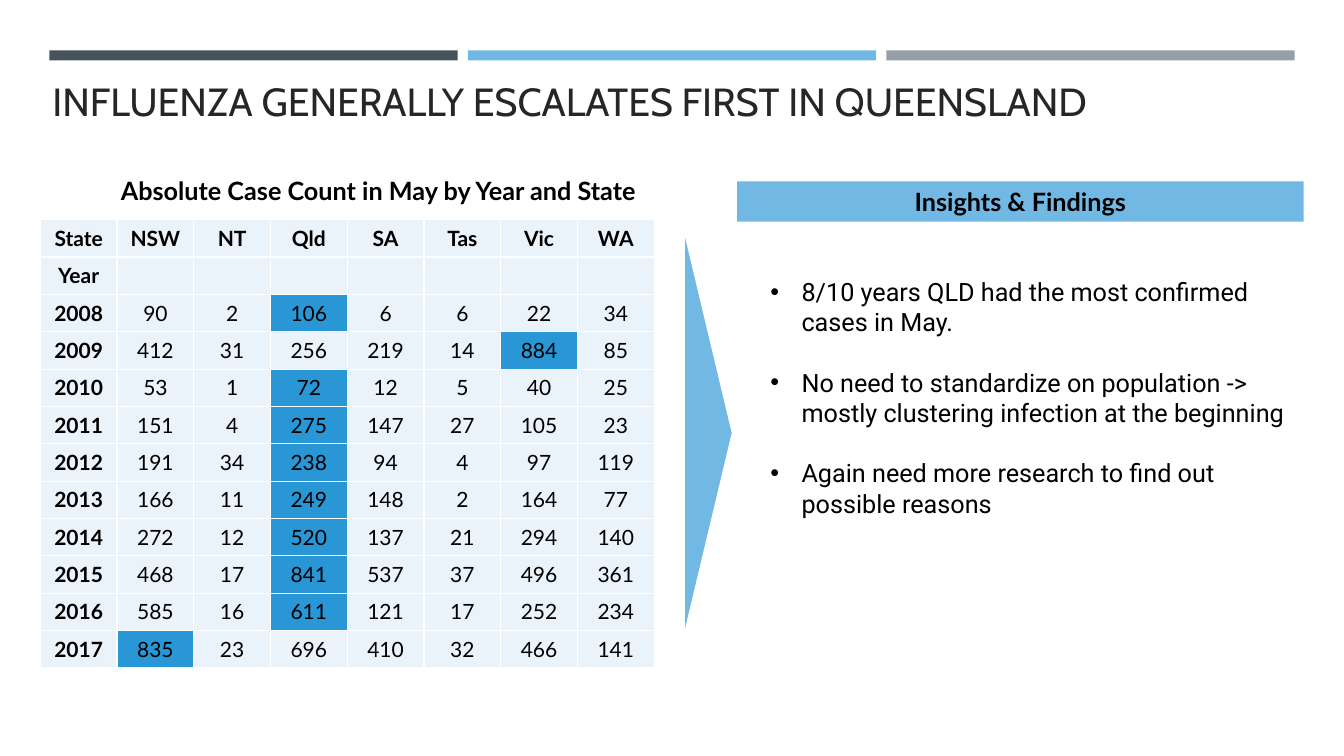
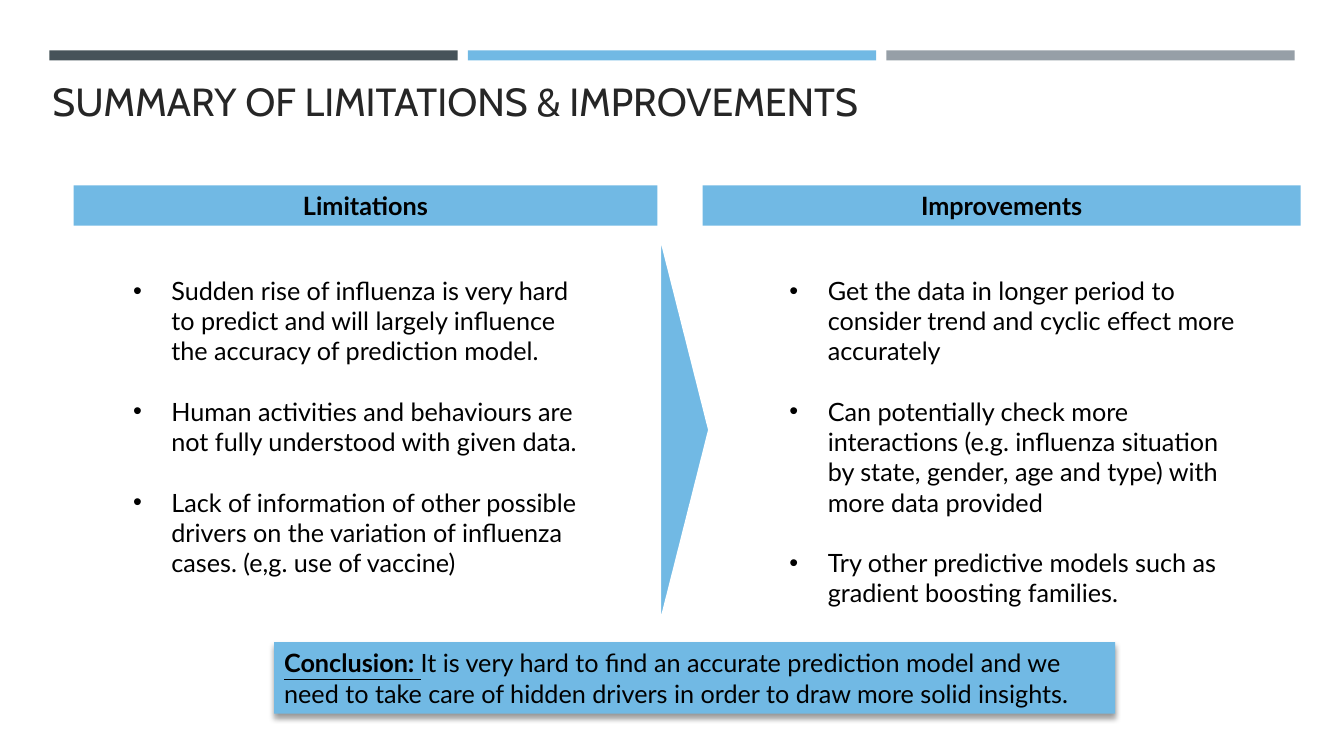
from pptx import Presentation
from pptx.dml.color import RGBColor
from pptx.enum import shapes, text
from pptx.oxml import parse_xml
from pptx.oxml.ns import nsdecls, qn
from pptx.text.text import Font
from pptx.util import Inches, Pt

color = RGBColor.from_string
SLATE, SKY, GREY = "465359", "71B9E4", "969FA7"
PALE, STRONG, WHITE, BLACK, TITLE = "EBF3FA", "2996D6", "FFFFFF", "000000", "262626"


def format_runs(paragraph, name="Lato", size=18, bold=False):
    for run in paragraph.runs:
        run.font.name = name
        run.font.size = Pt(size)
        run.font.bold = bold
        run.font.color.rgb = color(BLACK)


def add_block(slide, kind, box, fill, label=""):
    """Add a flat filled shape, with an optional bold centred label."""
    shape = slide.shapes.add_shape(kind, *map(Inches, box))
    shape.fill.solid()
    shape.fill.fore_color.rgb = color(fill)
    shape.line.fill.background()
    shape.shadow.inherit = False
    if label:
        paragraph = shape.text_frame.paragraphs[0]
        paragraph.text = label
        paragraph.alignment = text.PP_ALIGN.CENTER
        format_runs(paragraph, bold=True)
    return shape


RECTANGLE = shapes.MSO_SHAPE.RECTANGLE
TRIANGLE = shapes.MSO_SHAPE.ISOSCELES_TRIANGLE

presentation = Presentation()
presentation.slide_width = Inches(13.33)
presentation.slide_height = Inches(7.5)

# Master: title style and the three bands
master = presentation.slide_master
master_title = master.placeholders[0]
master_title.left, master_title.top = Inches(0.42), Inches(0.69)
master_title.width, master_title.height = Inches(12.06), Inches(0.59)
master_title.text_frame.auto_size = text.MSO_AUTO_SIZE.NONE
master_title.text_frame.vertical_anchor = text.MSO_ANCHOR.BOTTOM
title_level = master.element.find(".//" + qn("p:titleStyle")).find(qn("a:lvl1pPr"))
title_level.set("algn", "l")
title_font = Font(title_level.find(qn("a:defRPr")))
title_font.name = "Cabin"
title_font.size = Pt(28)
title_font.color.rgb = color(TITLE)

table_slide = presentation.slides.add_slide(presentation.slide_layouts[1])
table_slide.shapes.title.text_frame.text = "INFLUENZA GENERALLY ESCALATES FIRST IN QUEENSLAND"
summary_slide = presentation.slides.add_slide(presentation.slide_layouts[3])
summary_slide.shapes.title.text_frame.text = "SUMMARY OF LIMITATIONS & IMPROVEMENTS"

for index, fill in enumerate((SLATE, SKY, GREY)):
    band = add_block(table_slide, RECTANGLE, (0.49 + 4.15 * index, 0.5, 4.05, 0.1), fill)
    band.element.nvSpPr.cNvPr.set("id", str(101 + index))
    band.name = f"Band {index + 1}"
    master.shapes.element.append(band.element)

# Section headers and arrows
for slide, box, label in (
    (table_slide, (7.31, 1.8, 5.62, 0.4), "Insights & Findings"),
    (summary_slide, (0.73, 1.84, 5.79, 0.4), "Limitations"),
    (summary_slide, (6.97, 1.84, 5.93, 0.4), "Improvements"),
):
    add_block(slide, RECTANGLE, box, SKY, label)

for slide, box in (
    (table_slide, (4.97, 4.05, 4.11, 0.49)),
    (summary_slide, (4.85, 4.02, 3.88, 0.49)),
):
    arrow = add_block(slide, TRIANGLE, box, SKY)
    arrow.adjustments[0] = 0.5
    arrow.rotation = 90
    arrow.line.color.rgb = color(WHITE)
    arrow.line.width = Pt(1.75)

# Bullet lists
bullet_lists = (
    (table_slide.placeholders[1], (7.54, 2.69, 5.39, 2.53), "Roboto", 0.31, (
        "8/10 years QLD had the most confirmed cases in May.",
        "No need to standardize on population -> mostly clustering infection at the beginning",
        "Again need more research to find out possible reasons",
    )),
    (summary_slide.placeholders[1], (1.22, 2.68, 4.63, 3.43), "Lato", 0.38, (
        "Sudden rise of influenza is very hard to predict and will largely influence "
        "the accuracy of prediction model.",
        "Human activities and behaviours are not fully understood with given data.",
        "Lack of information of other possible drivers on the variation of influenza "
        "cases. (e,g. use of vaccine)",
    )),
    (summary_slide.placeholders[2], (7.73, 2.68, 4.63, 3.43), "Lato", 0.38, (
        "Get the data in longer period to consider trend and cyclic effect more accurately",
        "Can potentially check more interactions (e.g. influenza situation by state, "
        "gender, age and type) with more data provided",
        "Try other predictive models such as gradient boosting families.",
    )),
)
for body, box, font_name, indent, items in bullet_lists:
    body.left, body.top, body.width, body.height = map(Inches, box)
    frame = body.text_frame
    frame.text = "\n".join(items)
    frame.auto_size = text.MSO_AUTO_SIZE.NONE
    for paragraph in frame.paragraphs:
        properties = paragraph._p.get_or_add_pPr()
        properties.set("marL", str(Inches(indent)))
        properties.set("indent", str(-Inches(indent)))
        paragraph.space_before = Pt(0)
        paragraph.space_after = Pt(21.6)
        format_runs(paragraph, font_name)

# Case table: the largest count of each year is highlighted
caption = table_slide.shapes.add_textbox(Inches(1.1), Inches(1.69), Inches(5.35), Inches(0.4))
caption.text_frame.word_wrap = True
caption.text_frame.text = "Absolute Case Count in May by Year and State"
format_runs(caption.text_frame.paragraphs[0], bold=True)

states = ("NSW", "NT", "Qld", "SA", "Tas", "Vic", "WA")
cases = {
    2008: (90, 2, 106, 6, 6, 22, 34),
    2009: (412, 31, 256, 219, 14, 884, 85),
    2010: (53, 1, 72, 12, 5, 40, 25),
    2011: (151, 4, 275, 147, 27, 105, 23),
    2012: (191, 34, 238, 94, 4, 97, 119),
    2013: (166, 11, 249, 148, 2, 164, 77),
    2014: (272, 12, 520, 137, 21, 294, 140),
    2015: (468, 17, 841, 537, 37, 496, 361),
    2016: (585, 16, 611, 121, 17, 252, 234),
    2017: (835, 23, 696, 410, 32, 466, 141),
}
rows = [("State", *states), ("Year", *[""] * len(states))]
rows += [(year, *counts) for year, counts in cases.items()]
table = table_slide.shapes.add_table(
    len(rows), len(rows[0]), Inches(0.4), Inches(2.18), Inches(6.09), Inches(4.45)
).table
table.first_row = table.horz_banding = False

for row_index, values in enumerate(rows):
    for column_index, value in enumerate(values):
        cell = table.cell(row_index, column_index)
        cell.vertical_anchor = text.MSO_ANCHOR.MIDDLE
        cell.margin_left = cell.margin_right = Inches(0.08)
        cell.margin_top = cell.margin_bottom = Inches(0.02)
        for side in ("lnL", "lnR", "lnT", "lnB"):
            cell._tc.get_or_add_tcPr().append(parse_xml(
                f'<a:{side} {nsdecls("a")} w="{Pt(1)}"><a:solidFill>'
                f'<a:srgbClr val="{WHITE}"/></a:solidFill></a:{side}>'
            ))
        is_header = row_index < 2 or column_index == 0
        is_largest = not is_header and value == max(values[1:])
        cell.fill.solid()
        cell.fill.fore_color.rgb = color(STRONG if is_largest else PALE)
        paragraph = cell.text_frame.paragraphs[0]
        paragraph.text = str(value)
        paragraph.alignment = text.PP_ALIGN.CENTER
        format_runs(paragraph, size=15, bold=is_header)

# Conclusion
conclusion = add_block(summary_slide, RECTANGLE, (2.72, 6.37, 8.34, 0.71), SKY, "Conclusion: ")
paragraph = conclusion.text_frame.paragraphs[0]
paragraph.alignment = text.PP_ALIGN.LEFT
paragraph.add_run().text = (
    "It is very hard to find an accurate prediction model and we need to take care of "
    "hidden drivers in order to draw more solid insights."
)
format_runs(paragraph)
paragraph.runs[0].font.bold = True
paragraph.runs[0].font.underline = True
conclusion.element.spPr.find(qn("a:effectLst")).append(parse_xml(
    f'<a:outerShdw {nsdecls("a")} blurRad="{Pt(4)}" dist="{Pt(3)}" dir="5400000" '
    f'rotWithShape="0"><a:srgbClr val="{BLACK}"><a:alpha val="40000"/></a:srgbClr></a:outerShdw>'
))

presentation.save("out.pptx")
